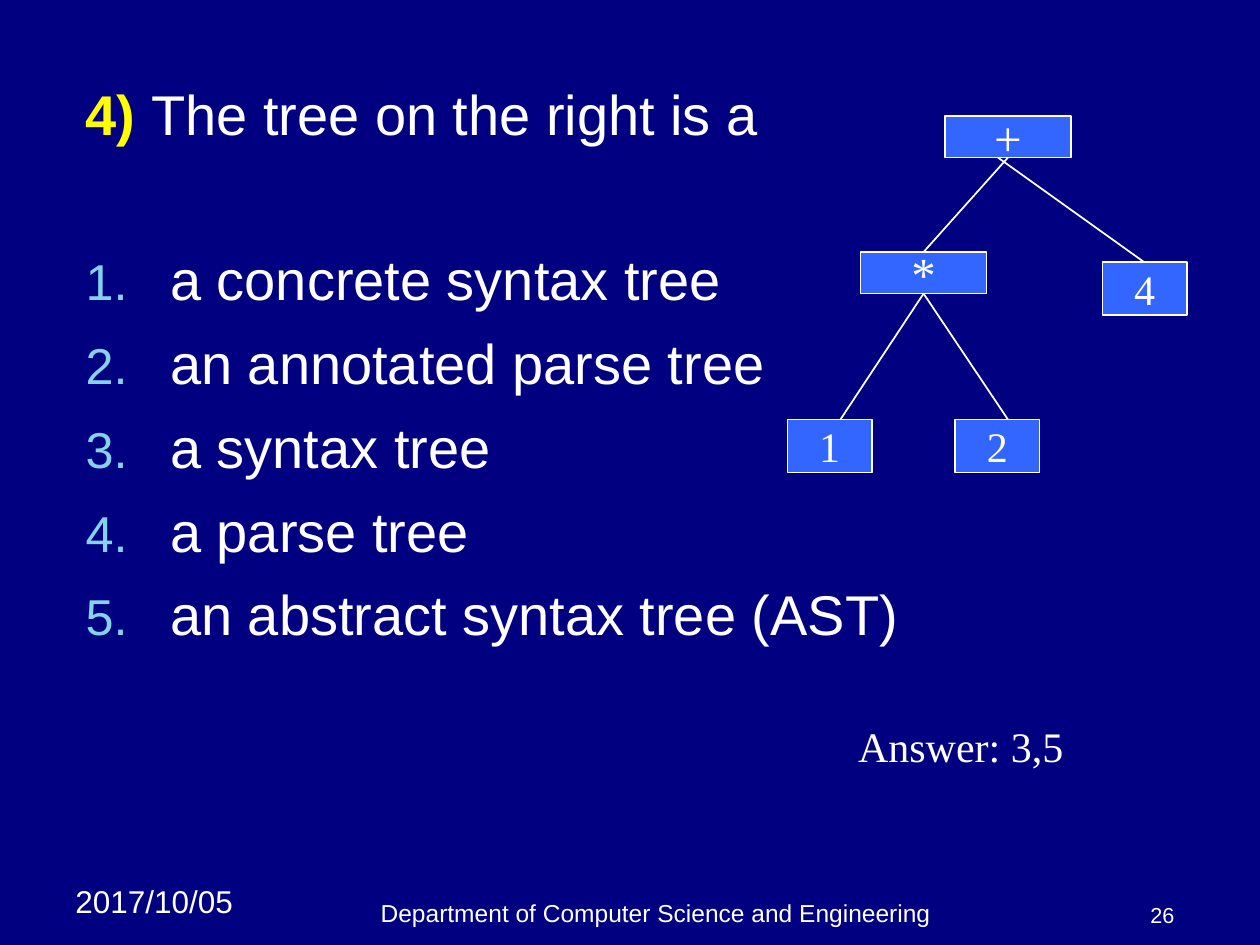
import pptx
import pptx.dml.color
import pptx.enum.shapes
import pptx.enum.text
import pptx.oxml
import pptx.oxml.ns
import pptx.util
from pptx.util import Inches

ALIGN = pptx.enum.text.PP_ALIGN
ANCHOR = pptx.enum.text.MSO_ANCHOR
NO_FIT = pptx.enum.text.MSO_AUTO_SIZE.NONE
WHITE = "FFFFFF"


def rgb(value):
    return pptx.dml.color.RGBColor.from_string(value)


def set_font(font, name, size, color=WHITE):
    font.name = name
    font.size = pptx.util.Pt(size)
    font.color.rgb = rgb(color)


prs = pptx.Presentation()
prs.slide_width, prs.slide_height = Inches(10), Inches(7.5)
s = prs.slides.add_slide(prs.slide_layouts[1])
s.background.fill.solid()
s.background.fill.fore_color.rgb = rgb("000080")

# The question has no heading of its own, so only the body is used
title = s.shapes.title
title.element.getparent().remove(title.element)

body = s.placeholders[1]
body.left, body.top = Inches(0.58), Inches(0.58)
body.width, body.height = Inches(8.5), Inches(6.25)
tf = body.text_frame
tf.auto_size = NO_FIT
tf.vertical_anchor = ANCHOR.TOP
lines = [
    "The tree on the right is a",
    "a concrete syntax tree",
    "an annotated parse tree",
    "a syntax tree",
    "a parse tree",
    "an abstract syntax tree (AST)",
]
NUMBERING = [
    '<a:buClr {}><a:srgbClr val="86D1EC"/></a:buClr>',
    '<a:buSzPct {} val="90000"/>',
    '<a:buFont {} typeface="Arial"/>',
    '<a:buAutoNum {} type="arabicPeriod"/>',
]
for i, line in enumerate(lines):
    p = tf.paragraphs[0] if i == 0 else tf.add_paragraph()
    pPr = p._p.get_or_add_pPr()
    pPr.set("marL", str(Inches(0.67)))
    pPr.set("indent", str(-Inches(0.67)))
    for xml in NUMBERING if i else ["<a:buNone {}/>"]:
        pPr.append(pptx.oxml.parse_xml(xml.format(pptx.oxml.ns.nsdecls("a"))))
    # A wide gap separates the question from its choices
    p.space_before = pptx.util.Pt([0, 56][i] if i < 2 else 9.5)
    if i == 0:
        r = p.add_run()
        r.text = "4) "
        set_font(r.font, "Arial", 32, "FFFF00")
        r.font.bold = True
    r = p.add_run()
    r.text = line
    set_font(r.font, "Arial", 32)

# Text, left, top, width, height, font, size, alignment, anchor
texts = [
    ("2017/10/05", 0.5, 6.95, 1.58, 0.4, "Arial", 18, ALIGN.LEFT, ANCHOR.TOP),
    ("Department of Computer Science and Engineering",
     1.83, 7.08, 6.75, 0.33, "Arial", 14, ALIGN.CENTER, ANCHOR.BOTTOM),
    ("26", 8.75, 7.08, 0.67, 0.33, "Arial", 12.4, ALIGN.RIGHT, ANCHOR.BOTTOM),
    ("Answer: 3,5", 6.71, 5.67, 1.83, 0.5, "Times New Roman", 24, ALIGN.CENTER, ANCHOR.TOP),
]
for text, x, y, w, h, name, size, align, anchor in texts:
    tf = s.shapes.add_textbox(Inches(x), Inches(y), Inches(w), Inches(h)).text_frame
    tf.word_wrap = True
    tf.vertical_anchor = anchor
    tf.text = text
    p = tf.paragraphs[0]
    p.alignment = align
    set_font(p.runs[0].font, name, size)

# Tree edges: from x, y to x, y
edges = [
    (7.33, 2.33, 6.67, 3.33),
    (7.33, 2.33, 8, 3.33),
    (8, 1.25, 7.33, 2),
    (7.92, 1.25, 9.08, 2.08),
]
for edge in edges:
    c = s.shapes.add_connector(
        pptx.enum.shapes.MSO_CONNECTOR.STRAIGHT, *[Inches(v) for v in edge])
    c.line.color.rgb = rgb(WHITE)
    c.line.width = pptx.util.Pt(1)
    c._element.spPr.append(
        pptx.oxml.parse_xml("<a:effectLst %s/>" % pptx.oxml.ns.nsdecls("a")))

# Tree nodes: operators are wide and flat, operands smaller
operator, operand = (1, 0.33, 28), (0.67, 0.42, 24)
nodes = [
    ("+", 7.5, 0.92, operator),
    ("*", 6.83, 2, operator),
    ("1", 6.25, 3.33, operand),
    ("2", 7.58, 3.33, operand),
    ("4", 8.75, 2.08, operand),
]
for text, x, y, (w, h, size) in nodes:
    sp = s.shapes.add_shape(
        pptx.enum.shapes.MSO_SHAPE.RECTANGLE, Inches(x), Inches(y), Inches(w), Inches(h))
    sp.shadow.inherit = False
    sp.fill.solid()
    sp.fill.fore_color.rgb = rgb("3366FF")
    sp.line.color.rgb = rgb(WHITE)
    sp.line.width = pptx.util.Pt(1)
    tf = sp.text_frame
    tf.word_wrap = False
    tf.vertical_anchor = ANCHOR.MIDDLE
    tf.text = text
    p = tf.paragraphs[0]
    p.alignment = ALIGN.CENTER
    set_font(p.runs[0].font, "Times New Roman", size)

prs.save("out.pptx")
